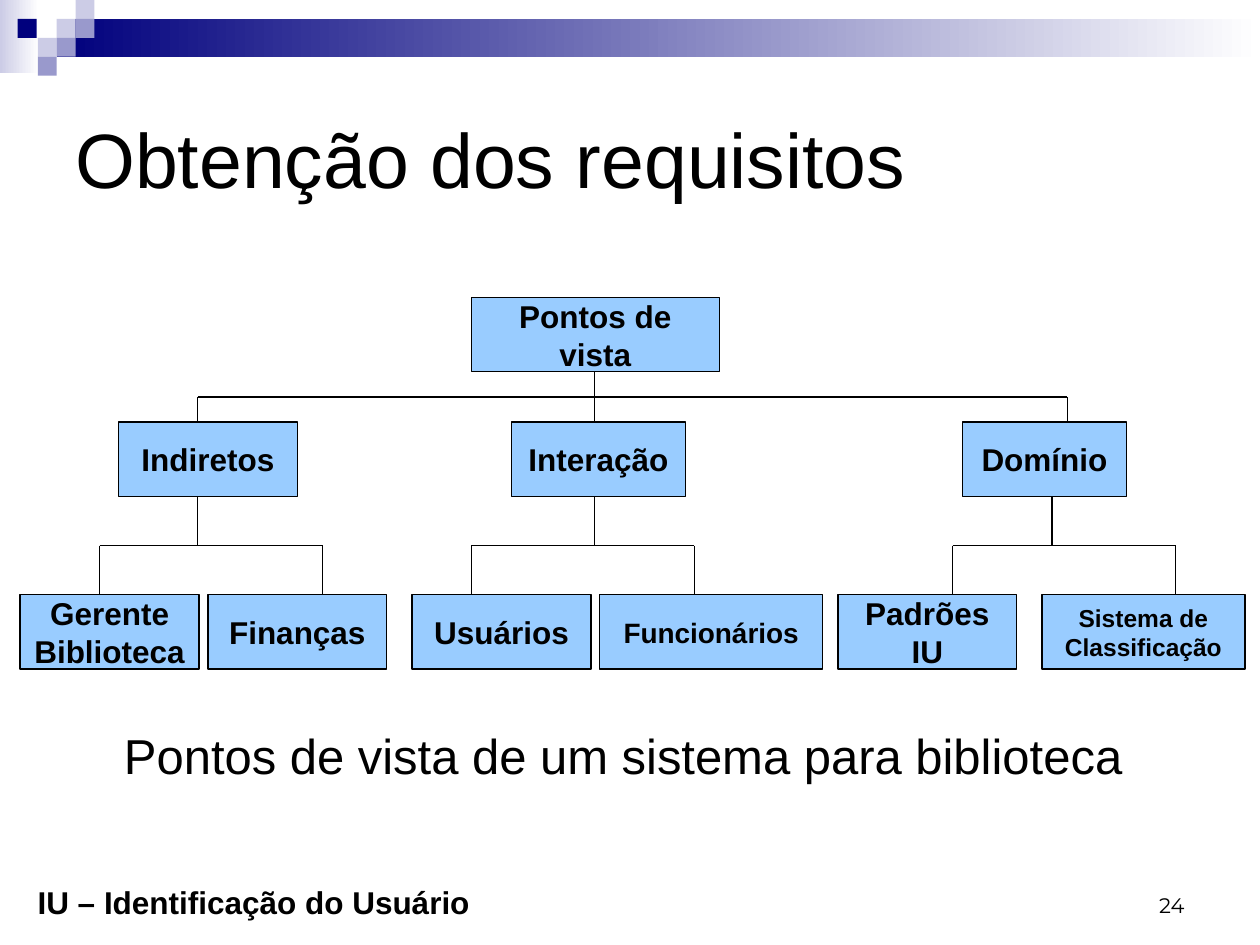
from dataclasses import dataclass

from lxml import etree
from pptx import Presentation
from pptx import util as u
from pptx.dml.color import RGBColor
from pptx.enum import shapes, text
from pptx.oxml.ns import qn

COLORS = {
    "ink": "000000",
    "node": "99CCFF",
    "navy": "00007D",
    "violet": "9999CC",
    "lilac": "CCCCE6",
    "white": "FFFFFF",
}
TILE = 0.15
NODE_HEIGHT = 0.59
ROOT_TOP, GROUP_TOP, LEAF_TOP = 2.36, 3.35, 4.72


@dataclass
class Band:
    left: float
    top: float
    width: float
    height: float
    start: str


@dataclass
class Tile:
    left: float
    top: float
    color: str


@dataclass
class Node:
    label: str
    left: float
    top: float
    width: float
    size: int = 18


@dataclass
class Branch:
    stem: float
    top: float
    bottom: float
    children: tuple[float, ...]


@dataclass
class Caption:
    label: str
    left: float
    top: float
    width: float
    height: float
    size: int
    font: str = "Arial"
    bold: bool = False
    wrap: bool = True
    align: text.PP_ALIGN = text.PP_ALIGN.LEFT
    anchor: text.MSO_ANCHOR = text.MSO_ANCHOR.TOP


BANDS = [
    Band(0, 0, 0.31, 0.58, "lilac"),
    Band(0.45, 0.15, 9.55, 0.3, "navy"),
]
TILES = [
    Tile(0.45, 0.15, "lilac"),
    Tile(0.6, 0, "lilac"),
    Tile(0.6, 0.15, "violet"),
    Tile(0.3, 0.3, "lilac"),
    Tile(0.14, 0.15, "navy"),
    Tile(0.45, 0.3, "violet"),
    Tile(0.3, 0.45, "violet"),
]
NODES = [
    Node("Pontos de vista", 3.74, ROOT_TOP, 1.97),
    Node("Indiretos", 0.94, GROUP_TOP, 1.42),
    Node("Interação", 4.06, GROUP_TOP, 1.38),
    Node("Domínio", 7.64, GROUP_TOP, 1.3),
    Node("Gerente\nBiblioteca", 0.16, LEAF_TOP, 1.42),
    Node("Finanças", 1.65, LEAF_TOP, 1.42),
    Node("Usuários", 3.27, LEAF_TOP, 1.42),
    Node("Funcionários", 4.76, LEAF_TOP, 1.77, 16),
    Node("Padrões IU", 6.65, LEAF_TOP, 1.42),
    Node("Sistema de\nClassificação", 8.27, LEAF_TOP, 1.61, 14),
]
BRANCHES = [
    Branch(4.72, ROOT_TOP + NODE_HEIGHT, GROUP_TOP, (1.57, 4.72, 8.47)),
    Branch(1.57, GROUP_TOP + NODE_HEIGHT, LEAF_TOP, (0.79, 2.56)),
    Branch(4.72, GROUP_TOP + NODE_HEIGHT, LEAF_TOP, (3.74, 5.51)),
    Branch(8.35, GROUP_TOP + NODE_HEIGHT, LEAF_TOP, (7.56, 9.33)),
]
CAPTIONS = [
    Caption("Obtenção dos requisitos", 0.5, 0.5, 9, 1.5, 44,
            anchor=text.MSO_ANCHOR.MIDDLE),
    Caption("24", 7.17, 6.83, 2.33, 0.5, 12, font="Montserrat",
            align=text.PP_ALIGN.RIGHT, anchor=text.MSO_ANCHOR.BOTTOM),
    Caption("Pontos de vista de um sistema para biblioteca", 0.83, 5.71, 8.23, 0.57, 28,
            align=text.PP_ALIGN.CENTER),
    Caption("IU – Identificação do Usuário", 0.2, 6.96, 3.63, 0.4, 18,
            bold=True, wrap=False),
]


def rgb(name: str) -> RGBColor:
    return RGBColor.from_string(COLORS[name])


def add_box(page, kind, left: float, top: float, width: float, height: float):
    box = page.shapes.add_shape(
        kind, u.Inches(left), u.Inches(top), u.Inches(width), u.Inches(height)
    )
    box.shadow.inherit = False
    box.line.fill.background()
    return box


def write(frame, label: str, size: int, font: str, bold: bool, align, anchor) -> None:
    frame.text = label
    frame.vertical_anchor = anchor
    for para in frame.paragraphs:
        para.alignment = align
        for span in para.runs:
            span.font.size = u.Pt(size)
            span.font.name = font
            span.font.bold = bold
            span.font.color.rgb = rgb("ink")


def draw_band(page, band: Band) -> None:
    box = add_box(page, shapes.MSO_SHAPE.RECTANGLE,
                  band.left, band.top, band.width, band.height)
    box.fill.gradient()
    box.fill.gradient_angle = 0
    for stop, name, position in zip(box.fill.gradient_stops, (band.start, "white"), (0, 1)):
        stop.color.rgb = rgb(name)
        stop.position = position


def draw_tile(page, tile: Tile) -> None:
    box = add_box(page, shapes.MSO_SHAPE.RECTANGLE, tile.left, tile.top, TILE, TILE)
    box.fill.solid()
    box.fill.fore_color.rgb = rgb(tile.color)


def draw_node(page, node: Node) -> None:
    box = add_box(page, shapes.MSO_SHAPE.ROUNDED_RECTANGLE,
                  node.left, node.top, node.width, NODE_HEIGHT)
    box.adjustments[0] = 0
    box.fill.solid()
    box.fill.fore_color.rgb = rgb("node")
    box.line.color.rgb = rgb("ink")
    box.line.width = u.Pt(0.75)
    box.text_frame.word_wrap = True
    write(box.text_frame, node.label, node.size, "Arial", True,
          text.PP_ALIGN.CENTER, text.MSO_ANCHOR.MIDDLE)


def draw_line(page, x1: float, y1: float, x2: float, y2: float) -> None:
    line = page.shapes.add_connector(
        shapes.MSO_CONNECTOR.STRAIGHT,
        u.Inches(x1), u.Inches(y1), u.Inches(x2), u.Inches(y2),
    )
    line.line.color.rgb = rgb("ink")
    line.line.width = u.Pt(0.75)
    etree.SubElement(line._element.spPr, qn("a:effectLst"))


def draw_branch(page, branch: Branch) -> None:
    middle = (branch.top + branch.bottom) / 2
    draw_line(page, branch.stem, branch.top, branch.stem, middle)
    draw_line(page, min(branch.children), middle, max(branch.children), middle)
    for child in branch.children:
        draw_line(page, child, middle, child, branch.bottom)


def draw_caption(page, caption: Caption) -> None:
    box = page.shapes.add_textbox(
        u.Inches(caption.left), u.Inches(caption.top),
        u.Inches(caption.width), u.Inches(caption.height),
    )
    box.text_frame.word_wrap = caption.wrap
    write(box.text_frame, caption.label, caption.size, caption.font, caption.bold,
          caption.align, caption.anchor)


def main() -> None:
    """Build the slide with the tree of viewpoints of a library system."""
    deck = Presentation()
    deck.slide_width, deck.slide_height = u.Inches(10), u.Inches(7.5)
    page = deck.slides.add_slide(deck.slide_layouts[6])
    for draw, items in (
        (draw_band, BANDS),
        (draw_tile, TILES),
        (draw_node, NODES),
        (draw_branch, BRANCHES),
        (draw_caption, CAPTIONS),
    ):
        for item in items:
            draw(page, item)
    deck.save("out.pptx")


if __name__ == "__main__":
    main()
